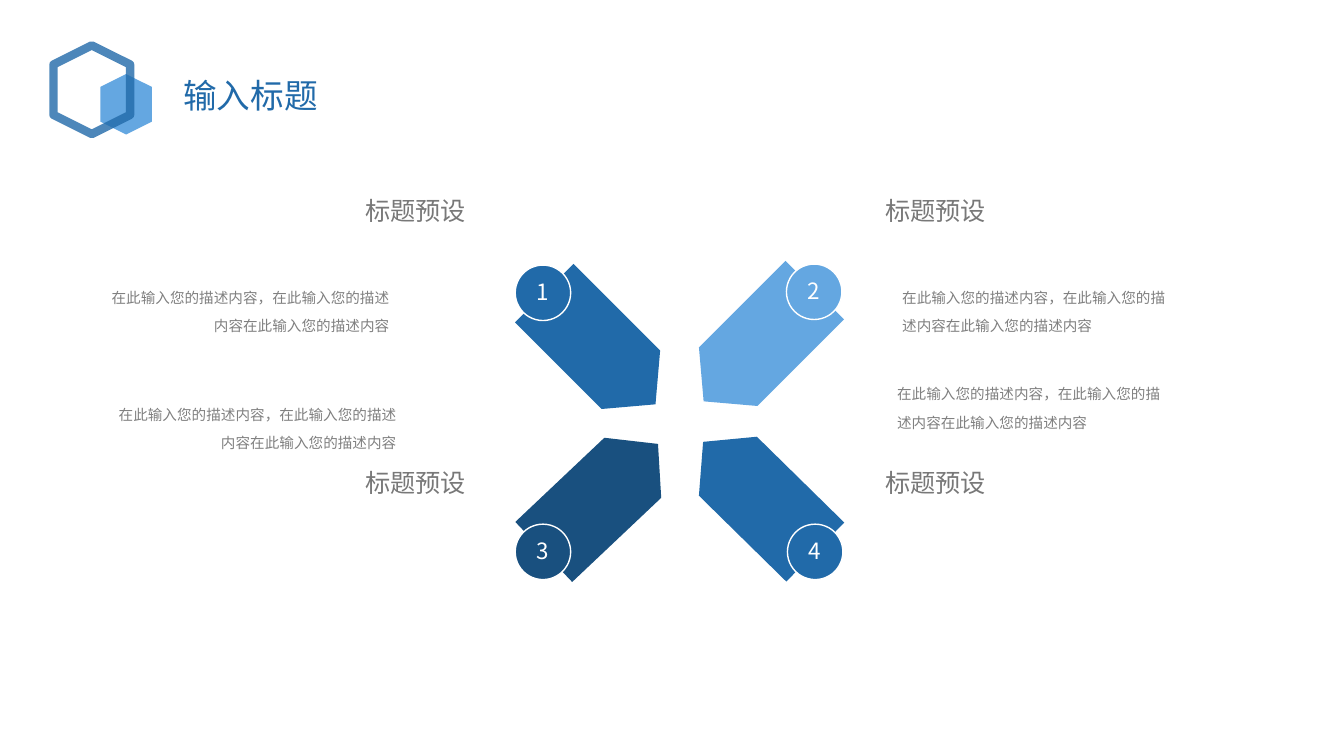
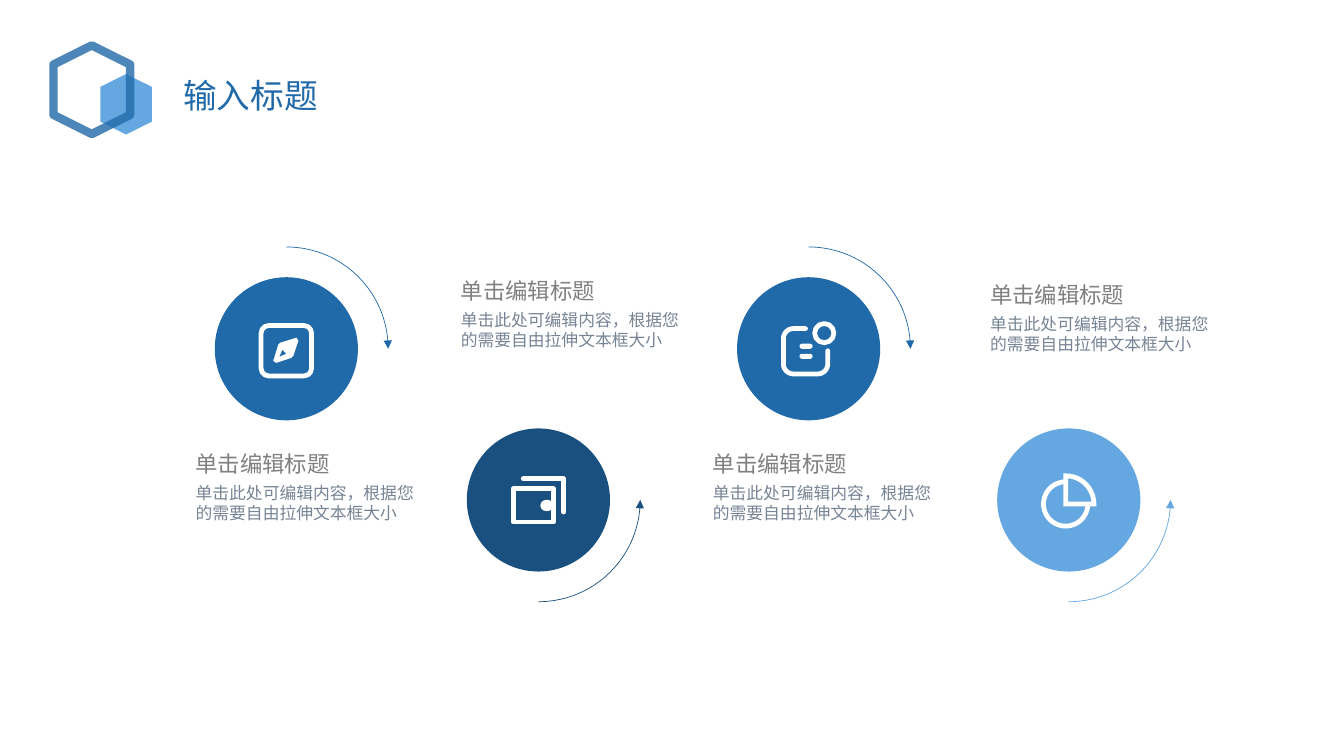
from math import cos, radians, sin

from lxml.etree import SubElement
from pptx import Presentation
from pptx.dml.color import RGBColor
from pptx.enum.shapes import MSO_SHAPE as SHP
from pptx.enum.text import MSO_ANCHOR, PP_ALIGN
from pptx.oxml.ns import qn
from pptx.util import Inches, Pt

# Shared look
FONT = "Noto Sans CJK SC"
BLUE = RGBColor(0x21, 0x6A, 0xA9)
LIGHT = RGBColor(0x64, 0xA7, 0xE1)
DARK = RGBColor(0x19, 0x50, 0x7F)
WHITE = RGBColor(0xFF, 0xFF, 0xFF)
HEAD_GREY = RGBColor(0x78, 0x78, 0x78)
GREY = RGBColor(0x80, 0x80, 0x80)
SLATE = RGBColor(0x77, 0x84, 0x95)
LEFT, RIGHT, CENTER = PP_ALIGN.LEFT, PP_ALIGN.RIGHT, PP_ALIGN.CENTER
ICON_PT = 3.4


def paint(sp, fill=None, line=None, width=1.0):
    """Set fill and outline; None means empty."""
    sp.shadow.inherit = False
    if fill is None:
        sp.fill.background()
    else:
        sp.fill.solid()
        sp.fill.fore_color.rgb = fill
    if line is None:
        sp.line.fill.background()
    else:
        sp.line.color.rgb = line
        sp.line.width = Pt(width)
    return sp


def add_preset(s, kind, x, y, w, h, fill=None, line=None, width=1.0, adj=(), rot=0):
    sp = s.shapes.add_shape(kind, Inches(x), Inches(y), Inches(w), Inches(h))
    for i, value in enumerate(adj):
        sp.adjustments[i] = value
    sp.rotation = rot
    return paint(sp, fill, line, width)


def add_outline(s, cx, cy, contours, close, fill=None, line=None, width=ICON_PT):
    """Draw contours whose points are offsets from (cx, cy)."""
    paths = [[(Inches(cx + x), Inches(cy + y)) for x, y in c] for c in contours]
    fb = s.shapes.build_freeform(*paths[0][0])
    for i, points in enumerate(paths):
        if i:
            fb.move_to(*points[0])
        fb.add_line_segments(points[1:], close=close)
    return paint(fb.convert_to_shape(), fill, line, width)


def arc_points(cx, cy, r, start, end, steps=12):
    angles = [radians(start + (end - start) * i / steps) for i in range(steps + 1)]
    return [(cx + r * cos(a), cy + r * sin(a)) for a in angles]


def write(tf, text, size, color, align=LEFT, spacing=None, inset=(0.1, 0.05)):
    tf.word_wrap = True
    tf.margin_left = tf.margin_right = Inches(inset[0])
    tf.margin_top = tf.margin_bottom = Inches(inset[1])
    p = tf.paragraphs[0]
    p.alignment = align
    if spacing:
        p.line_spacing = spacing
    r = p.add_run()
    r.text = text
    r.font.size = Pt(size)
    r.font.name = FONT
    r.font.color.rgb = color
    SubElement(r._r.get_or_add_rPr(), qn("a:ea")).set("typeface", FONT)


def add_text(s, x, y, w, h, *args, **kwargs):
    tb = s.shapes.add_textbox(Inches(x), Inches(y), Inches(w), Inches(h))
    write(tb.text_frame, *args, **kwargs)


def add_title(s, x, y, text):
    """Title with its two hexagons."""
    add_text(s, x + 1.25, y + 0.06, 3.84, 0.55, text, 24, BLUE, spacing=1.3)
    add_preset(s, SHP.HEXAGON, x + 0.48, y + 0.27, 0.6, 0.51, LIGHT, rot=90)
    ring = add_preset(s, SHP.HEXAGON, x, y, 0.88, 0.76, None, BLUE, 6, rot=90)
    color = ring.line._ln.find(".//" + qn("a:srgbClr"))
    SubElement(color, qn("a:alpha")).set("val", "80000")


# Slide 1: four pointers
def add_pointer(s, plate, badge, number, rot, color):
    add_preset(s, SHP.PENTAGON, *plate, 1.56, 0.82, color, adj=[0.42], rot=rot)
    sp = add_preset(s, SHP.OVAL, *badge, 0.55, 0.55, color, WHITE)
    sp.text_frame.vertical_anchor = MSO_ANCHOR.MIDDLE
    write(sp.text_frame, number, 16, WHITE, CENTER, 0.9, inset=(0, 0))


def add_caption(s, head, body, body_w, align):
    add_text(s, *head, 1.45, 0.46, "标题预设", 18, HEAD_GREY, align, 1.3)
    add_text(s, *body, body_w, 0.63,
             "在此输入您的描述内容，在此输入您的描述内容在此输入您的描述内容",
             10.4, GREY, align, Pt(20))


def pointer_slide(s):
    pointers = [
        ((5.17, 3.05), (5.11, 2.63), "1", 45, BLUE),
        ((6.75, 3.02), (7.8, 2.62), "2", 135, LIGHT),
        ((5.18, 4.53), (5.11, 5.2), "3", 316.6, DARK),
        ((6.75, 4.52), (7.81, 5.2), "4", 224.5, BLUE),
    ]
    for pointer in pointers:
        add_pointer(s, *pointer)
    captions = [
        ((3.27, 1.8), (0.99, 2.71), 2.97, RIGHT),
        ((8.68, 1.8), (8.85, 2.71), 2.94, LEFT),
        ((3.27, 4.5), (1.02, 3.87), 3.01, RIGHT),
        ((8.68, 4.5), (8.8, 3.67), 2.94, LEFT),
    ]
    for caption in captions:
        add_caption(s, *caption)


# Slide 2: icons, each centred on its disc
def compass_icon(s, cx, cy):
    add_preset(s, SHP.ROUNDED_RECTANGLE, cx - 0.25, cy - 0.23, 0.5, 0.5,
               None, WHITE, ICON_PT, adj=[0.15])
    needle = [(0.1, -0.11), (0.12, -0.08), (0.07, 0.07), (0.05, 0.09),
              (-0.1, 0.14), (-0.13, 0.12), (-0.08, -0.04), (-0.06, -0.06)]
    hole = [(-0.07, 0.08), (-0.04, 0.01), (0, 0.05)]
    add_outline(s, cx, cy, [needle, hole], True, WHITE)


def wallet_icon(s, cx, cy):
    add_preset(s, SHP.RECTANGLE, cx - 0.25, cy - 0.11, 0.4, 0.33, None, WHITE, ICON_PT)
    add_preset(s, SHP.ROUNDED_RECTANGLE, cx + 0.02, cy, 0.13, 0.11, WHITE, adj=[0.5])
    back = [(-0.15, -0.21), (0.25, -0.21), (0.25, 0.12)]
    add_outline(s, cx, cy, [back], False, None, WHITE).line._ln.set("cap", "rnd")


def note_icon(s, cx, cy):
    frame = [(-0.03, -0.2)]
    for x, y, start in ((-0.15, -0.1, 270), (-0.15, 0.15, 180), (0.09, 0.15, 90)):
        frame += arc_points(x, y, 0.1, start, start - 90)
    frame.append((0.19, 0.02))
    add_outline(s, cx, cy, [frame], False, None, WHITE).line._ln.set("cap", "rnd")
    add_preset(s, SHP.OVAL, cx + 0.06, cy - 0.25, 0.19, 0.19, None, WHITE, ICON_PT)
    for dy in (-0.05, 0.05):
        add_preset(s, SHP.ROUNDED_RECTANGLE, cx - 0.09, cy + dy, 0.13, 0.05,
                   WHITE, adj=[0.5])


def pie_icon(s, cx, cy):
    hub = (-0.03, 0.04)
    ring = arc_points(*hub, 0.22, 0, 270, 36)
    add_outline(s, cx, cy, [ring], False, None, WHITE)
    wedge = [hub] + arc_points(*hub, 0.28, 270, 360)
    sp = add_outline(s, cx, cy, [wedge], True, None, WHITE)
    SubElement(sp.line._ln, qn("a:miter")).set("lim", "800000")


def add_step(s, cx, cy, color, icon, upper):
    """Disc with an icon and a quarter arc ending in an arrow on the right."""
    disc_r, arc_r = 0.71, 1.01
    add_preset(s, SHP.OVAL, cx - disc_r, cy - disc_r, 2 * disc_r, 2 * disc_r, color)
    quarter = arc_points(0, 0, arc_r, -90 if upper else 90, 0, 30)
    arc = add_outline(s, cx, cy, [quarter], False, None, color, 0.5)
    SubElement(arc.line._ln, qn("a:tailEnd")).set("type", "triangle")
    icon(s, cx, cy)


def add_step_text(s, x, y):
    add_text(s, x, y, 2.14, 0.27, "单击编辑标题", 16, GREY, inset=(0, 0))
    add_text(s, x, y + 0.32, 2.25, 0.4,
             "单击此处可编辑内容，根据您的需要自由拉伸文本框大小",
             12, SLATE, inset=(0, 0))


def step_slide(s):
    upper_y, lower_y = 3.46, 4.96
    add_step(s, 2.84, upper_y, BLUE, compass_icon, True)
    add_step(s, 8.02, upper_y, BLUE, note_icon, True)
    add_step(s, 5.34, lower_y, DARK, wallet_icon, False)
    add_step(s, 10.6, lower_y, LIGHT, pie_icon, False)
    for x, y in ((1.94, 4.47), (4.57, 2.75), (7.07, 4.47), (9.82, 2.79)):
        add_step_text(s, x, y)


def main():
    prs = Presentation()
    prs.slide_width, prs.slide_height = Inches(13.33), Inches(7.5)
    for build in (pointer_slide, step_slide):
        s = prs.slides.add_slide(prs.slide_layouts[6])
        add_title(s, 0.47, 0.51, "输入标题")
        build(s)
    prs.save("out.pptx")


if __name__ == "__main__":
    main()
